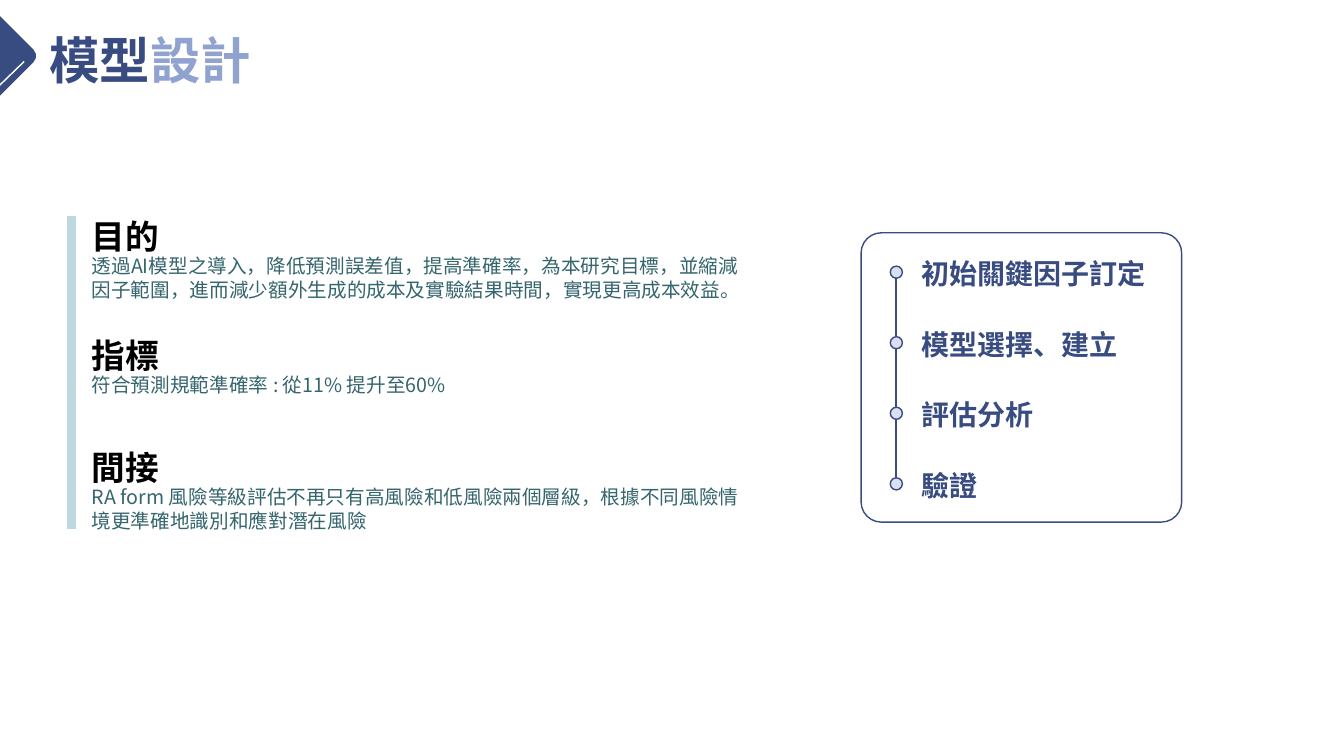
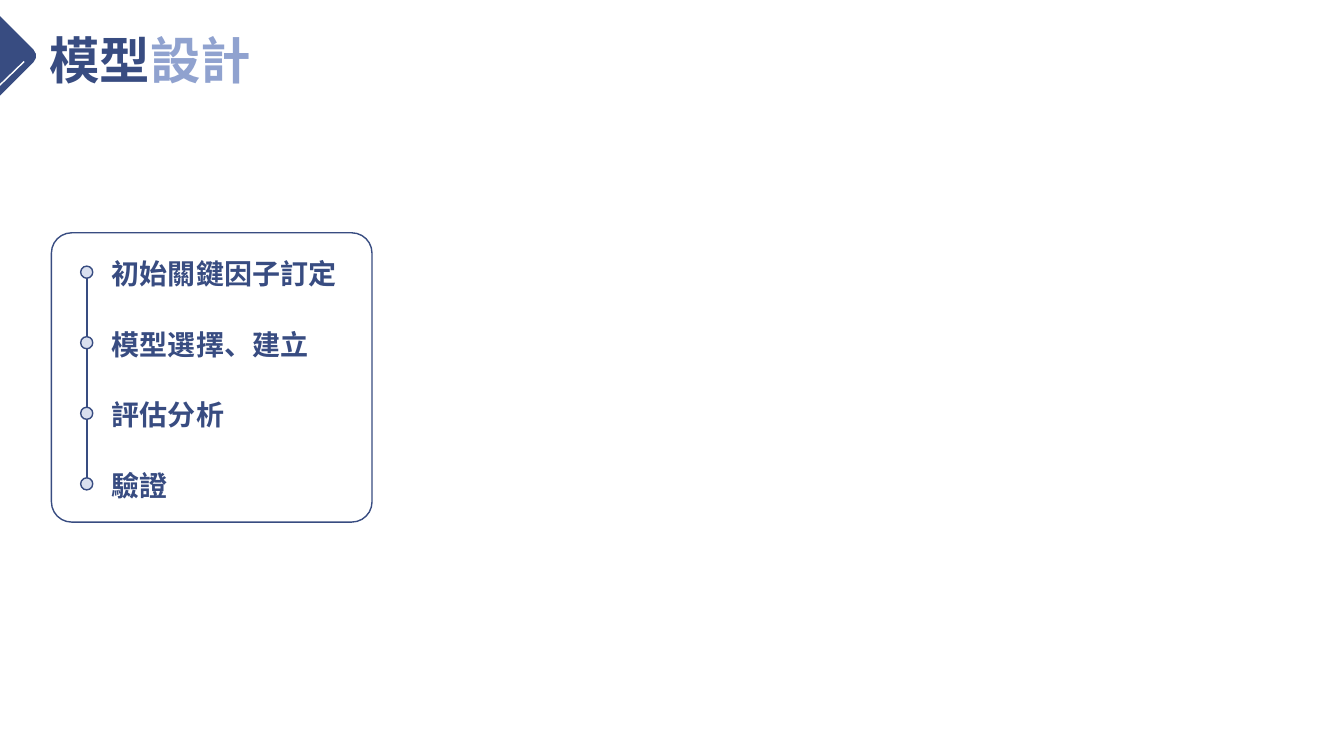
"""Build two model design slides: the goals with the process card, then the card alone."""
from lxml import etree
from pptx import Presentation
from pptx.dml.color import RGBColor
from pptx.enum.shapes import MSO_CONNECTOR, MSO_SHAPE
from pptx.enum.text import MSO_ANCHOR, MSO_AUTO_SIZE, PP_ALIGN
from pptx.oxml.ns import qn
from pptx.util import Emu, Pt

STRAIGHT = MSO_CONNECTOR.STRAIGHT
ROUNDED = MSO_SHAPE.ROUNDED_RECTANGLE
DOT = MSO_SHAPE.FLOWCHART_CONNECTOR
TOP = MSO_ANCHOR.TOP
NO_AUTOFIT = MSO_AUTO_SIZE.NONE
LEFT = PP_ALIGN.LEFT

PX = 9144
FONT = "Noto Sans CJK SC"
NAVY, PERIWINKLE, PALE_BLUE = "384C81", "90A2CF", "DAE0EF"
TEAL, PALE_TEAL, BLACK, WHITE = "35656D", "BBD9DE", "000000", "FFFFFF"

STEPS = ["初始關鍵因子訂定", "模型選擇、建立", "評估分析", "驗證"]
STEP_PITCH = 70
CARD_LEFTS = [854, 51]
GOALS = [
    (206, 661, "目的", "透過AI模型之導入，降低預測誤差值，提高準確率，為本研究目標，並縮減因子範圍，"
     "進而減少額外生成的成本及實驗結果時間，實現更高成本效益。"),
    (324, 362, "指標", "符合預測規範準確率 : 從11% 提升至60%"),
    (435, 645, "間接", "RA form 風險等級評估不再只有高風險和低風險兩個層級，"
     "根據不同風險情境更準確地識別和應對潛在風險"),
]


def format_text(shape, box, size, line_height, color, bold=True):
    shape.left, shape.top, shape.width, shape.height = [Emu(value * PX) for value in box]
    frame = shape.text_frame
    frame.auto_size, frame.word_wrap, frame.vertical_anchor = NO_AUTOFIT, True, TOP
    frame.margin_left = frame.margin_top = frame.margin_right = frame.margin_bottom = 0
    for paragraph in frame.paragraphs:
        paragraph.alignment = LEFT
        paragraph.line_spacing = Pt(line_height)
        paragraph.space_before = paragraph.space_after = Pt(0)
        properties = paragraph._p.get_or_add_pPr()
        properties.set("marL", "0")
        properties.set("indent", "0")
        etree.SubElement(properties, qn("a:buNone"))
        for run in paragraph.runs:
            run.font.size, run.font.bold, run.font.name = Pt(size), bold, FONT
            run.font.color.rgb = RGBColor.from_string(color)
            east_asian = etree.SubElement(run._r.get_or_add_rPr(), qn("a:ea"))
            east_asian.set("typeface", FONT)


def add_line(slide, points, color, width):
    line = slide.shapes.add_connector(STRAIGHT, *[Emu(value * PX) for value in points])
    line.line.color.rgb = RGBColor.from_string(color)
    line.line.width = Pt(width)
    etree.SubElement(line._element.spPr, qn("a:effectLst"))


presentation = Presentation()
presentation.slide_width, presentation.slide_height = Emu(1333 * PX), Emu(750 * PX)

for card_left in CARD_LEFTS:
    slide = presentation.slides.add_slide(presentation.slide_layouts[1])
    title, step_list = slide.placeholders
    title.text_frame.text = "模型"
    title_end = title.text_frame.paragraphs[0].add_run()
    title_end.text = "設計"
    format_text(title, (49, 17, 300, 72), 36, 52, NAVY)
    title_end.font.color.rgb = RGBColor.from_string(PERIWINKLE)

    step_list.text_frame.text = "\n".join(STEPS)
    format_text(step_list, (card_left + 60, 218, 250, 281), 20, 50.4, NAVY)

    outlines = [
        (ROUNDED, (-56, 16, 79, 79), 45, 0.11, NAVY, None),
        (ROUNDED, (card_left, 231, 318, 287), 0, 0.07, None, NAVY),
    ]
    for index in range(len(STEPS)):
        dot_box = (card_left + 29, 264 + index * STEP_PITCH, 12, 12)
        outlines.append((DOT, dot_box, 0, None, PALE_BLUE, NAVY))

    add_line(slide, (card_left + 35, 276, card_left + 35, 481), NAVY, 1.5)
    for kind, box, rotation, corner, fill, outline in outlines:
        shape = slide.shapes.add_shape(kind, *[Emu(value * PX) for value in box])
        shape.shadow.inherit = False
        shape.rotation = rotation
        if corner:
            shape.adjustments[0] = corner
        if fill:
            shape.fill.solid()
            shape.fill.fore_color.rgb = RGBColor.from_string(fill)
        else:
            shape.fill.background()
        if outline:
            shape.line.color.rgb = RGBColor.from_string(outline)
            shape.line.width = Pt(1)
        else:
            shape.line.fill.background()
    add_line(slide, (24, 61, -7, 91), WHITE, 1)

goal_slide = presentation.slides[0]
add_line(goal_slide, (71, 214, 71, 525), PALE_TEAL, 6)
for top, width, heading, description in GOALS:
    heading_box = goal_slide.shapes.add_textbox(0, 0, 0, 0)
    heading_box.text_frame.text = heading
    format_text(heading_box, (91, top, 100, 48), 24, 35, BLACK)
    description_box = goal_slide.shapes.add_textbox(0, 0, 0, 0)
    description_box.text_frame.text = description
    format_text(description_box, (91, top + 46, width, 48), 14, 17, TEAL, bold=False)

presentation.save("out.pptx")
